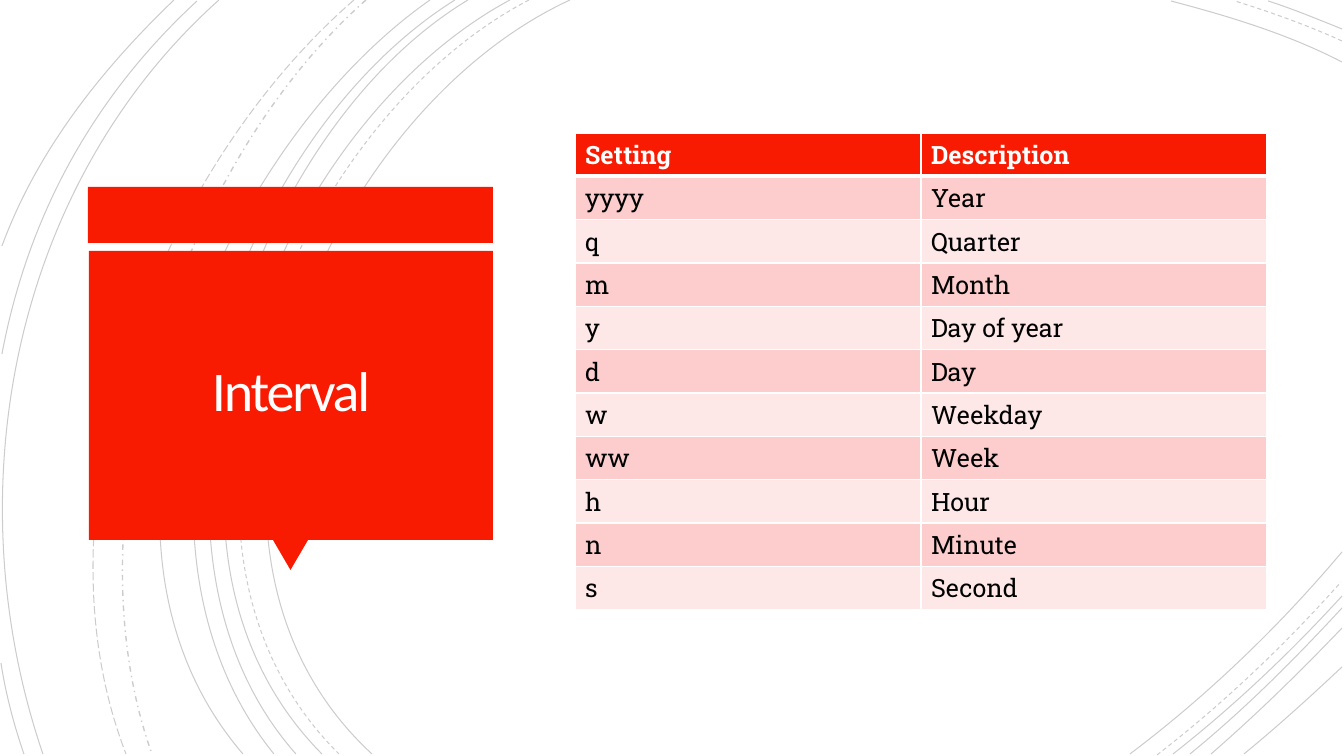
from dataclasses import dataclass

from lxml.etree import SubElement
from pptx import Presentation
from pptx.dml.color import RGBColor
from pptx.enum.dml import MSO_LINE_DASH_STYLE as Dash
from pptx.enum.shapes import MSO_SHAPE as Preset
from pptx.enum.text import MSO_ANCHOR as Anchor, PP_ALIGN as Align
from pptx.oxml.ns import qn
from pptx.util import Pt

EMU_PER_PIXEL = 914400 / 100.8


@dataclass(frozen=True)
class Theme:
    """Colours, fonts and type sizes of the slide."""
    red: str = "F81B02"
    white: str = "FFFFFF"
    title_white: str = "FFFEFF"
    black: str = "000000"
    bands: tuple = ("FCCDCC", "FEE8E7")
    title_font: str = "Calibri"
    table_font: str = "Roboto Slab"
    title_size: int = 40
    table_size: int = 18


THEME = Theme()

ARCS = [
    ((570, 0), (318, 116), (144, 544), (372, 754)),
    ((1342, 62), (1288, 34), (1228, 16), (1171, 1)),
    ((1130, 754), (1207, 696), (1279, 627), (1342, 552)),
    ((510, 0), (272, 128), (111, 541), (322, 754)),
    ((468, 0), (246, 134), (111, 545), (296, 754)),
    ((455, 0), (233, 139), (98, 537), (274, 754)),
    ((430, 0), (219, 148), (53, 533), (243, 754)),
    ((1342, 29), (1317, 19), (1293, 9), (1268, 1)),
    ((1173, 754), (1233, 707), (1290, 653), (1342, 596)),
    ((1190, 754), (1244, 710), (1294, 660), (1342, 608)),
    ((1211, 754), (1256, 715), (1300, 672), (1342, 628)),
    ((1244, 754), (1277, 727), (1309, 698), (1342, 667)),
    ((219, 0), (11, 186), (-46, 494), (43, 754)),
    ((197, 1), (93, 97), (28, 216), (2, 354)),
    ((1, 663), (6, 695), (14, 725), (24, 754)),
    ((174, 0), (101, 70), (37, 151), (2, 246)),
]
DASHED_ARCS = [
    ((529, 0), (287, 126), (124, 541), (339, 754)),
    ((1342, 41), (1307, 25), (1270, 12), (1235, 1)),
    ((1157, 755), (1223, 704), (1285, 645), (1341, 582)),
]
DASH_DOT_ARC = ((366, 0), (177, 167), (66, 513), (152, 754))
LONG_DASH_ARC = ((354, 0), (158, 170), (29, 503), (126, 754))

INTERVALS = [
    ("Setting", "Description"),
    ("yyyy", "Year"),
    ("q", "Quarter"),
    ("m", "Month"),
    ("y", "Day of year"),
    ("d", "Day"),
    ("w", "Weekday"),
    ("ww", "Week"),
    ("h", "Hour"),
    ("n", "Minute"),
    ("s", "Second"),
]


def px(pixels):
    """Turn pixels into EMU."""
    return round(pixels * EMU_PER_PIXEL)


def colour(value):
    """Return the colour object for a hex value."""
    return RGBColor.from_string(value)


def bend(shape):
    """Turn the three segments of a freeform into one cubic curve."""
    outline = shape._element.find(".//" + qn("a:path"))
    curve = SubElement(outline, qn("a:cubicBezTo"))
    for segment in outline.findall(qn("a:lnTo")):
        curve.append(segment[0])
        outline.remove(segment)


def add_arc(shapes, controls, dash=Dash.SOLID, width=0.75):
    """Draw one faint background arc."""
    start, *points = [(px(x), px(y)) for x, y in controls]
    builder = shapes.build_freeform(*start)
    builder.add_line_segments(points, close=False)
    arc = builder.convert_to_shape()
    bend(arc)
    arc.shadow.inherit = False
    arc.fill.background()
    arc.line.color.rgb = colour(THEME.black)
    arc.line.width = Pt(width)
    arc.line.dash_style = dash
    line_colour = arc.line._get_or_add_ln().find(".//" + qn("a:srgbClr"))
    SubElement(line_colour, qn("a:alpha"), val="20000")


def add_block(shapes, preset, left, top, width, height, rotation=0):
    """Draw one red block of the title banner."""
    shape = shapes.add_shape(preset, px(left), px(top), px(width), px(height))
    shape.rotation = rotation
    shape.shadow.inherit = False
    shape.fill.solid()
    shape.fill.fore_color.rgb = colour(THEME.red)
    shape.line.fill.background()


def style_run(run, font, size, value, bold=False):
    """Set the font, size, colour and weight of a run."""
    run.font.name = font
    run.font.size = Pt(size)
    run.font.color.rgb = colour(value)
    run.font.bold = bold


def add_title(slide, text, left, top, width, height):
    """Add the centred slide title."""
    box = slide.shapes.add_textbox(px(left), px(top), px(width), px(height))
    text_frame = box.text_frame
    text_frame.word_wrap = True
    text_frame.vertical_anchor = Anchor.MIDDLE
    text_frame.margin_left = text_frame.margin_right = px(25)
    text_frame.margin_top = text_frame.margin_bottom = px(25)
    text_frame.text = text
    paragraph = text_frame.paragraphs[0]
    paragraph.alignment = Align.CENTER
    paragraph.line_spacing = 0.85
    run = paragraph.runs[0]
    style_run(run, THEME.title_font, THEME.title_size, THEME.title_white)
    run._r.get_or_add_rPr().set("spc", "-150")


def add_borders(cell, row):
    """Give a cell white borders, thick between header and body."""
    widths = {"L": 1, "R": 1, "T": 3 if row == 1 else 1, "B": 3 if row == 0 else 1}
    properties = cell._tc.get_or_add_tcPr()
    for side, width in widths.items():
        border = SubElement(properties, qn("a:ln" + side), w=str(Pt(width)))
        fill = SubElement(border, qn("a:solidFill"))
        SubElement(fill, qn("a:srgbClr"), val=THEME.white)


def fill_cell(cell, text, row):
    """Write and style a table cell."""
    header = row == 0
    cell.text = text
    style_run(cell.text_frame.paragraphs[0].runs[0], THEME.table_font,
              THEME.table_size, THEME.white if header else THEME.black, header)
    add_borders(cell, row)
    cell.fill.solid()
    cell.fill.fore_color.rgb = colour(THEME.red if header else THEME.bands[(row - 1) % 2])


def add_table(slide, records, left, top, width, height):
    """Add the banded table with equal rows and columns."""
    table = slide.shapes.add_table(len(records), len(records[0]), px(left), px(top),
                                   px(width), px(height)).table
    for row, record in enumerate(records):
        for column, text in enumerate(record):
            fill_cell(table.cell(row, column), text, row)


def main():
    """Build and save the slide."""
    presentation = Presentation()
    presentation.slide_width, presentation.slide_height = px(1344), px(756)
    slide = presentation.slides.add_slide(presentation.slide_layouts[6])

    arcs = slide.shapes.add_group_shape().shapes
    for controls in ARCS:
        add_arc(arcs, controls)
    for controls in DASHED_ARCS:
        add_arc(arcs, controls, Dash.DASH)
    add_arc(arcs, DASH_DOT_ARC, Dash.DASH_DOT, 1)
    add_arc(arcs, LONG_DASH_ARC, Dash.LONG_DASH)

    banner = slide.shapes.add_group_shape().shapes
    add_block(banner, Preset.RECTANGLE, 88, 187, 405, 56)
    add_block(banner, Preset.ISOSCELES_TRIANGLE, 273, 540, 35, 30, 180)
    add_block(banner, Preset.RECTANGLE, 89, 251, 404, 289)

    add_title(slide, "Interval", 98, 259, 386, 271)
    add_table(slide, INTERVALS, 575, 133, 692, 477)
    presentation.save("out.pptx")


main()
